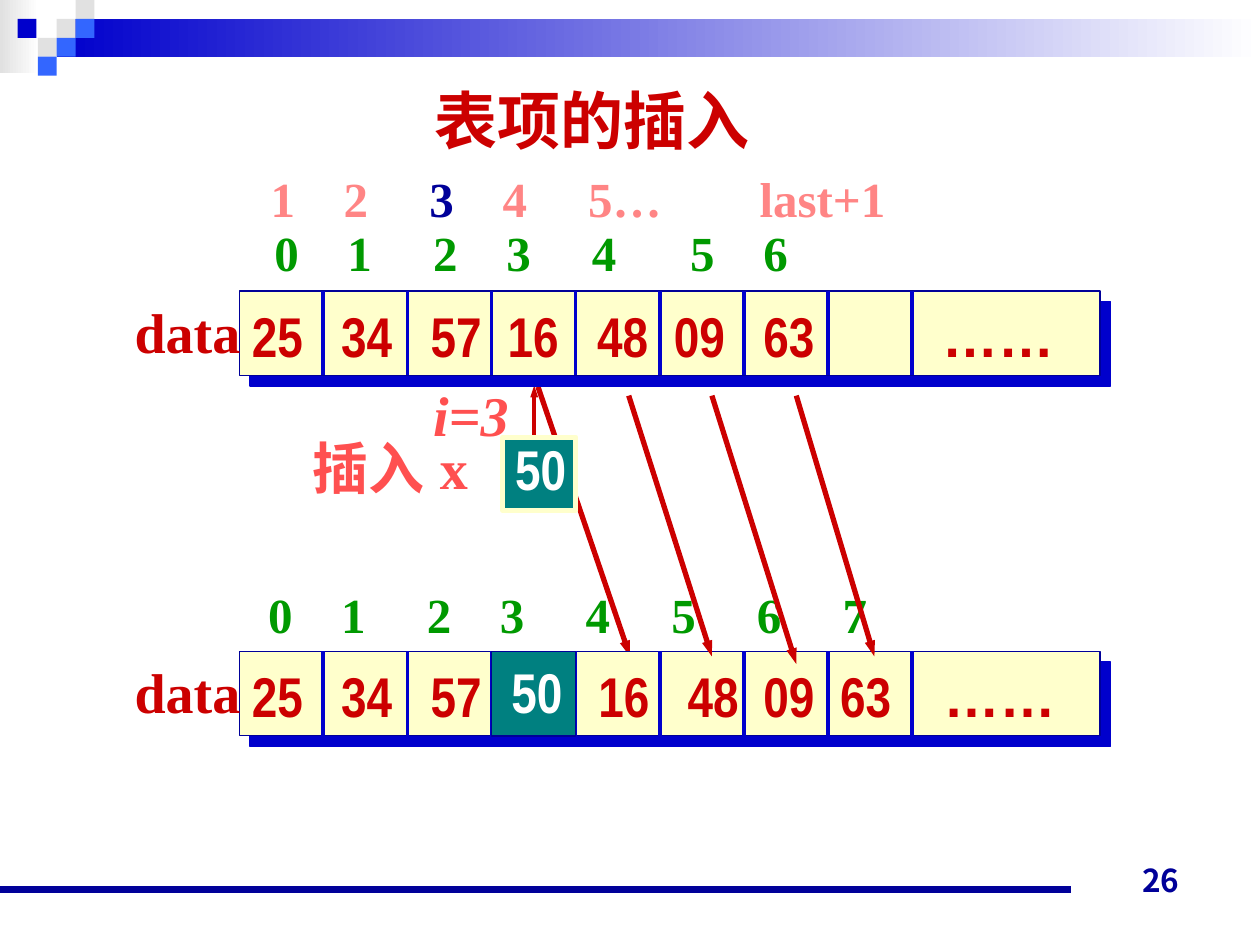
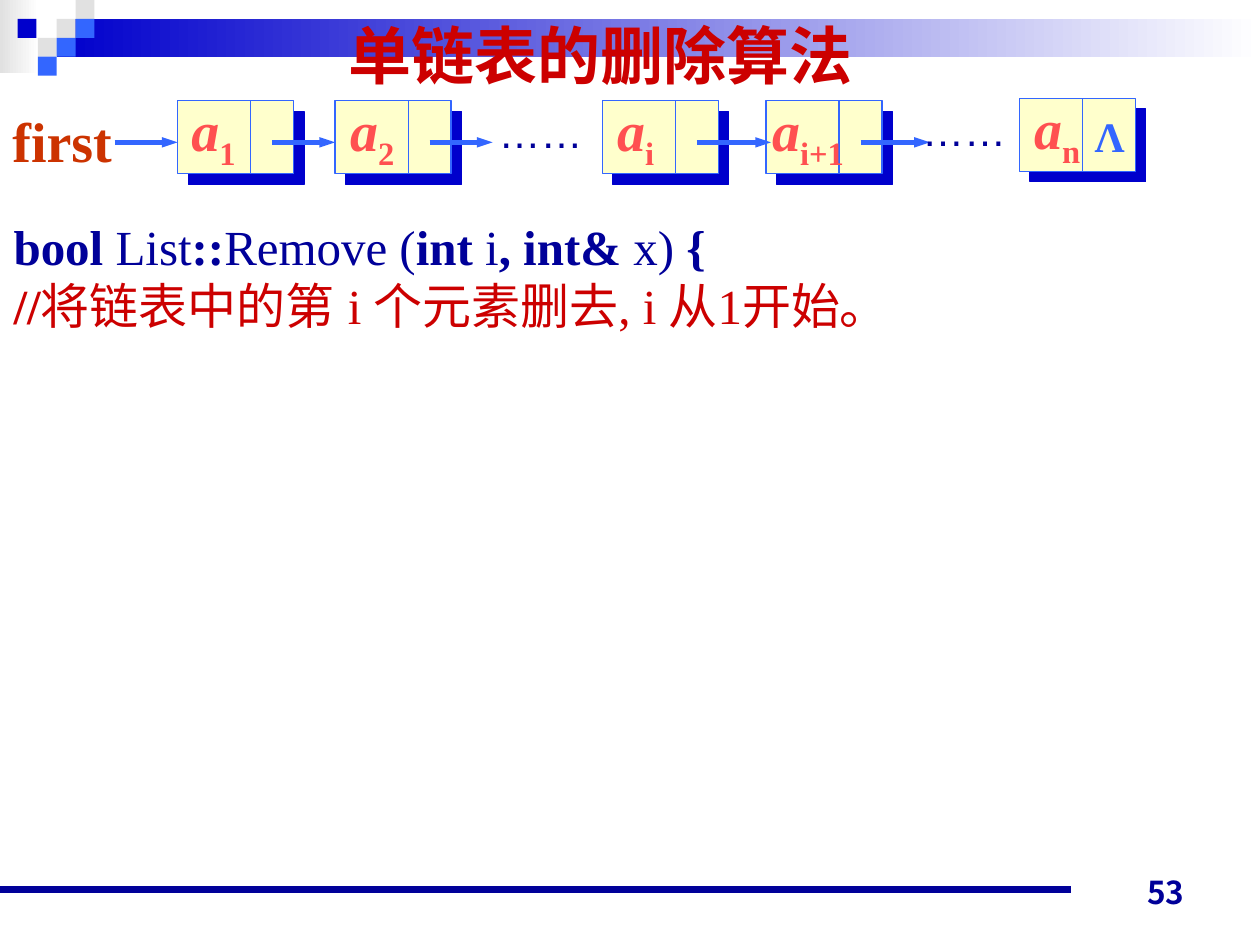
"""Build two slides on inserting into a sequential list and deleting from a linked list."""
from lxml import etree
from pptx import Presentation
from pptx.dml.color import RGBColor
from pptx.enum.shapes import MSO_CONNECTOR, MSO_SHAPE
from pptx.enum.text import MSO_ANCHOR, PP_ALIGN
from pptx.oxml.ns import qn
from pptx.util import Inches, Pt

STRAIGHT, RECTANGLE = MSO_CONNECTOR.STRAIGHT, MSO_SHAPE.RECTANGLE
TOP, MIDDLE, BOTTOM = MSO_ANCHOR.TOP, MSO_ANCHOR.MIDDLE, MSO_ANCHOR.BOTTOM
LEFT, CENTER, RIGHT = PP_ALIGN.LEFT, PP_ALIGN.CENTER, PP_ALIGN.RIGHT

COLUMNS, ROWS = 100, 75
GRID = 0.1
TILE = 1.5
CELL = 6.67

COLORS = {
    "royal": "0000CC", "navy": "000099", "sky": "3366FF", "grey": "E1E1E1",
    "white": "FFFFFF", "cream": "FFFFCC", "teal": "008080", "red": "CC0000",
    "rust": "CC3300", "coral": "FF5050", "pink": "FF8585", "green": "009900",
}
SERIF, NARROW, SANS, CJK = "Times New Roman", "Arial Narrow", "Arial", "Noto Sans CJK JP"
FORMATS = {
    "title": {"name": SERIF, "size": 36, "bold": True, "color": "red"},
    "number": {"name": CJK, "size": 18, "bold": True, "color": "navy"},
    "value": {"name": NARROW, "size": 32, "bold": True, "color": "red"},
    "inserted": {"name": NARROW, "size": 32, "bold": True, "color": "white"},
    "label": {"name": SERIF, "size": 32, "bold": True, "color": "red"},
    "hint": {"name": SERIF, "size": 32, "bold": True, "color": "coral"},
    "index": {"name": SERIF, "size": 28, "bold": True, "color": "green"},
    "code": {"name": SERIF, "size": 28, "bold": True, "color": "navy"},
    "null": {"name": SERIF, "size": 24, "bold": True, "color": "sky"},
    "dots": {"name": SANS, "size": 24, "bold": False, "color": "navy"},
}
ITALIC, PLAIN = {"italic": True}, {"bold": False}
SUBSCRIPT = {"baseline": "-25000"}


def at(cells):
    """Turn a number of grid cells into a length."""
    return Inches(cells * GRID)


def rgb(color):
    """Look up a named colour."""
    return RGBColor.from_string(COLORS[color])


class Deck:
    """Holds the shared style and the slide being drawn."""

    def __init__(self):
        """Start an empty presentation."""
        self.file = Presentation()
        self.file.slide_width, self.file.slide_height = at(COLUMNS), at(ROWS)
        self.slide = None

    def new_slide(self, number, number_box):
        """Add a slide with its band, corner tiles, rule and number."""
        self.slide = self.file.slides.add_slide(self.file.slide_layouts[6])
        self.rect((0, 0, 3.1, 5.8), fill=("grey", "white"))
        self.rect((4.5, TILE, 95.5, 3), fill=("royal", "white"))
        tiles = [(3, 1, "grey"), (4, 0, "grey"), (4, 1, "sky"), (2, 2, "grey"),
                 (0.93, 1, "royal"), (3, 2, "sky"), (2, 3, "sky")]
        for column, row, color in tiles:
            self.rect((column * TILE, row * TILE, TILE, TILE), fill=(color,))
        self.line((0, 70.6), (85, 70.6), "navy", 4.5)
        self.text(number_box, [[(number, {})]], "number", align=RIGHT, anchor=BOTTOM)

    def rect(self, box, fill, line=None, shadow=False):
        """Draw a rectangle with a flat or two-colour fill."""
        shape = self.slide.shapes.add_shape(RECTANGLE, *map(at, box))
        shape.shadow.inherit = False
        if len(fill) == 1:
            shape.fill.solid()
            shape.fill.fore_color.rgb = rgb(fill[0])
        else:
            shape.fill.gradient()
            shape.fill.gradient_angle = 0
            for stop, color in zip(shape.fill.gradient_stops, fill):
                stop.color.rgb = rgb(color)
        if line:
            shape.line.color.rgb, shape.line.width = rgb(line[0]), Pt(line[1])
        else:
            shape.line.fill.background()
        if shadow:
            effects = shape._element.spPr.find(qn("a:effectLst"))
            outer = etree.SubElement(effects, qn("a:outerShdw"), blurRad="0",
                                     dist=str(Pt(8.5)), dir="2700000",
                                     algn="ctr", rotWithShape="0")
            etree.SubElement(outer, qn("a:srgbClr"), val=COLORS["royal"])

    def line(self, start, end, color, width, arrow=False):
        """Draw a straight line, with a slim arrowhead at its end if asked."""
        connector = self.slide.shapes.add_connector(STRAIGHT, *map(at, start + end))
        connector.line.color.rgb, connector.line.width = rgb(color), Pt(width)
        properties = connector._element.spPr
        if arrow:
            etree.SubElement(properties.find(qn("a:ln")), qn("a:tailEnd"),
                             type="triangle", w="sm", len="med")
        etree.SubElement(properties, qn("a:effectLst"))

    def text(self, box, paragraphs, style, align=LEFT, anchor=TOP, stops=(), wrap=True):
        """Write paragraphs of (text, changes) runs, with tab stops in grid cells."""
        frame = self.slide.shapes.add_textbox(*map(at, box)).text_frame
        frame.word_wrap, frame.vertical_anchor = wrap, anchor
        for place, runs in enumerate(paragraphs):
            paragraph = frame.add_paragraph() if place else frame.paragraphs[0]
            paragraph.alignment = align
            if stops:
                tabs = etree.SubElement(paragraph._p.get_or_add_pPr(), qn("a:tabLst"))
                for stop in stops:
                    etree.SubElement(tabs, qn("a:tab"), pos=str(at(stop)), algn="l")
            for words, changes in runs:
                self.run(paragraph, words, FORMATS[style] | changes)

    def run(self, paragraph, words, style):
        """Add one run and apply its format values."""
        run = paragraph.add_run()
        run.text = words
        for key, value in style.items():
            if key == "color":
                run.font.color.rgb = rgb(value)
            elif key == "baseline":
                run._r.get_or_add_rPr().set(key, value)
            else:
                setattr(run.font, key, Pt(value) if key == "size" else value)
        etree.SubElement(run._r.get_or_add_rPr(), qn("a:ea"), typeface=SANS)

    def label(self, box, words, style, **changes):
        """Write one short unwrapped label."""
        self.text(box, [[(words, changes)]], style, wrap=False)

    def tabbed(self, box, runs, style, stops):
        """Write one row whose entries stand at tab stops."""
        self.text(box, [runs], style, stops=stops)

    def array(self, top, values, stops):
        """Draw the data array with its cell dividers and values."""
        self.rect((19, top, 68.3, 6.7), ("cream",), ("navy", 0.75), shadow=True)
        entries = [("\t".join(values) + "\t", {}), ("……", {"name": SANS})]
        self.tabbed((19, top + 0.3, 67.4, 6.4), entries, "value", stops)
        for cell in range(1, 9):
            edge = 19 + cell * CELL
            self.line((edge, top), (edge, top + 6.7), "royal", 2.25)
        self.label((9.7, top, 11, 6.4), "data", "label")

    def node(self, left, top, divider, subscript, label_left):
        """Draw one list node with its element name."""
        self.rect((left, top, 9.2, 5.8), ("cream",), ("sky", 0.75), shadow=True)
        self.line((left + divider, top), (left + divider, top + 5.8), "sky", 0.75)
        element = [("a", ITALIC), (subscript, SUBSCRIPT)]
        self.text((label_left, top - 0.9, 9, 7.1), [element], "hint", wrap=False)


def insertion(deck):
    """Draw the slide on inserting an entry."""
    deck.new_slide("26", (71.3, 66.8, 23.3, 5))
    deck.text((30.6, 6, 32.8, 7), [[("表项的插入", {})]], "title", align=CENTER)
    deck.line((42.7, 30.7), (50, 52.1), "red", 3, arrow=True)
    deck.line((42.4, 34.7), (42.4, 30.6), "red", 2.25, arrow=True)

    deck.array(23.1, ["25", "34", "57", "16", "48", "09", "63"],
               [7.1, 14.2, 20.3, 27.4, 33.5, 40.6, 54.8])
    positions = [("1\t2\t", {}), ("3", {"color": "navy"}), ("\t4\t5…\tlast+1", {})]
    positions = [(words, {"color": "pink"} | changes) for words, changes in positions]
    deck.tabbed((20.5, 12.9, 53.7, 5.7), positions, "index", [5.8, 12.6, 18.4, 25.2, 38.8])
    deck.tabbed((20.8, 17.2, 45, 5.7), [("\t".join("0123456"), {})], "index",
                [5.8, 12.6, 18.4, 25.2, 33, 38.8])

    deck.rect((39.9, 34.7, 5.8, 5.8), ("teal",), ("cream", 3))
    deck.label((39.9, 34, 8, 6.4), "50", "inserted")
    deck.label((23.8, 33.9, 17, 6.4), "插入 x", "hint")
    deck.label((33.4, 29.7, 9, 6.4), "i=3", "hint", **ITALIC)

    deck.array(51.7, ["25", "34", "57", "16", "48", "09", "63"],
               [7.1, 14.2, 27.5, 34.6, 40.6, 46.7, 54.9])
    deck.tabbed((20.3, 45.9, 52, 5.7), [("\t".join("01234567"), {})], "index",
                [5.8, 12.6, 18.4, 25.2, 32, 38.8, 45.6])
    deck.rect((19 + 3 * CELL, 51.7, CELL, 6.7), ("teal",), ("navy", 1))
    deck.label((39.6, 51.7, 8, 6.4), "50", "inserted")
    for start, end, tip in [(63.2, 69.4, 52.1), (56.5, 63.2, 52.7), (49.9, 56.5, 52.1)]:
        deck.line((start, 31.4), (end, tip), "red", 3, arrow=True)


def deletion(deck):
    """Draw the slide on deleting from a linked list."""
    deck.new_slide("53", (71.7, 67.8, 23.3, 5))
    deck.text((2.7, -0.5, 90, 9.6), [[("单链表的删除算法", {"name": SANS})]], "title",
              align=CENTER, anchor=MIDDLE)
    signature = [("bool", {}), (" List", PLAIN), ("::", {}), ("Remove (", PLAIN),
                 ("int", {}), (" i", PLAIN), (", int&", {}), (" x) ", PLAIN), ("{", {})]
    remark = [("//", {"color": "red"}),
              ("将链表中的第 i 个元素删去, i 从1开始。", {"color": "red"} | PLAIN)]
    deck.text((0.1, 16.7, 90, 54.3), [signature, remark], "code")

    nodes = [(14.1, 8, 5.8, "1", 14.2), (26.6, 8, 5.8, "2", 26.8),
             (47.8, 8, 5.8, "i", 48), (60.8, 8, 5.8, "i+1", 60.3),
             (80.9, 7.8, 5, "n", 81.1)]
    for node in nodes:
        deck.node(*node)
    for start, end in [(9.1, 14.1), (21.6, 26.6), (34.1, 39.1), (55.3, 61.2), (68.3, 73.8)]:
        deck.line((start, 11.3), (end, 11.3), "sky", 3, arrow=True)
    deck.label((85.9, 8.3, 5, 5), "Λ", "null")
    deck.label((0, 8, 11, 6.4), "first", "label", color="rust")
    for left, top in [(38.6, 8), (72.2, 7.8)]:
        deck.label((left, top, 9, 5), "……", "dots")


def main():
    """Build and save the slides."""
    deck = Deck()
    insertion(deck)
    deletion(deck)
    deck.file.save("out.pptx")


if __name__ == "__main__":
    main()
